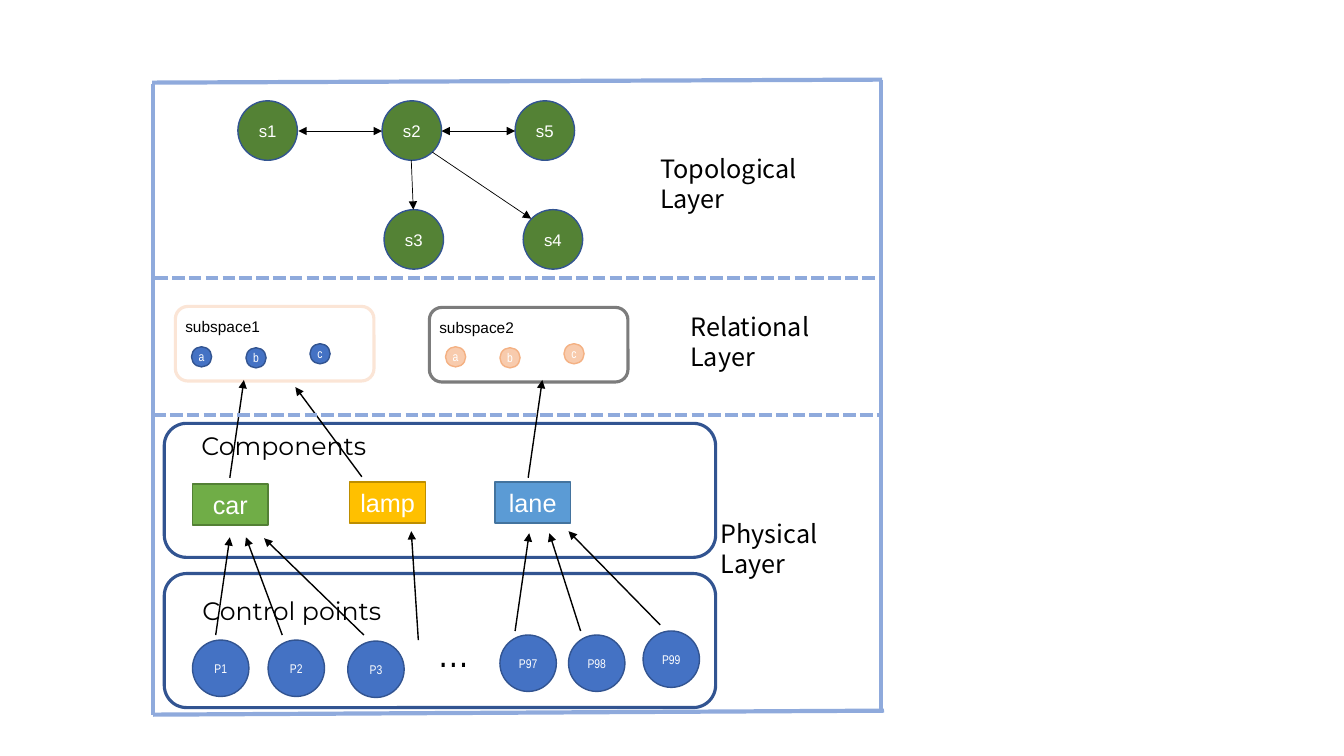
import pptx
import pptx.util
import pptx.dml.color
import pptx.enum.dml
import pptx.enum.shapes
import pptx.enum.text
import pptx.oxml.ns
import lxml.etree

# The slide is a grid of square cells, 75 rows high and 133.33 columns wide.
CELL = pptx.util.Inches(0.1)
SHAPES = pptx.enum.shapes.MSO_SHAPE
CIRCLE, ROUNDED, BOX = SHAPES.FLOWCHART_CONNECTOR, SHAPES.ROUNDED_RECTANGLE, SHAPES.RECTANGLE
colour = pptx.dml.color.RGBColor.from_string

NAVY, BLUE, GREEN, PALE_BLUE = "325491", "4472C4", "548235", "8FAADC"
BLACK, WHITE = "000000", "FFFFFF"
NARROW, SANS = "Arial Narrow", "Noto Sans CJK SC"

presentation = pptx.Presentation()
presentation.slide_width = round(133.33 * CELL)
presentation.slide_height = 75 * CELL
slide = presentation.slides.add_slide(presentation.slide_layouts[6])


def place(kind, box, text="", size=18, font="Arial", fill=None, line=NAVY, weight=1):
    """Add a preset shape, or a plain label when kind is None; box is in cells."""
    box = [round(length * CELL) for length in box]
    if kind is None:
        part = slide.shapes.add_textbox(*box)
        part.text_frame.auto_size = pptx.enum.text.MSO_AUTO_SIZE.SHAPE_TO_FIT_TEXT
    else:
        part = slide.shapes.add_shape(kind, *box)
        part.shadow.inherit = False
        part.line.color.rgb = colour(line)
        part.line.width = pptx.util.Pt(weight)
        if fill:
            part.fill.solid()
            part.fill.fore_color.rgb = colour(fill)
        else:
            part.fill.background()
    if not text:
        return
    frame = part.text_frame
    frame.word_wrap = kind != CIRCLE
    if kind == CIRCLE:
        frame.margin_left = frame.margin_right = frame.margin_top = frame.margin_bottom = 0
    paragraph = frame.paragraphs[0]
    paragraph.text = text
    paragraph.font.size = pptx.util.Pt(size)
    paragraph.font.name = font
    paragraph.font.color.rgb = colour(BLACK if kind is None else WHITE)
    if kind is not None:
        frame.vertical_anchor = pptx.enum.text.MSO_ANCHOR.MIDDLE
        paragraph.alignment = pptx.enum.text.PP_ALIGN.CENTER


def draw_line(ends, line=BLACK, weight=1, heads=(), dashed=False):
    """Add a straight line; ends are x1, y1, x2, y2 in cells, heads are XML end names."""
    ends = [round(length * CELL) for length in ends]
    connector = slide.shapes.add_connector(pptx.enum.shapes.MSO_CONNECTOR.STRAIGHT, *ends)
    connector.line.color.rgb = colour(line)
    connector.line.width = pptx.util.Pt(weight)
    if dashed:
        connector.line.dash_style = pptx.enum.dml.MSO_LINE.SQUARE_DOT
    outline = connector.line._get_or_add_ln()
    for head in heads:
        lxml.etree.SubElement(outline, pptx.oxml.ns.qn(head), type="triangle")
    lxml.etree.SubElement(connector._element.spPr, pptx.oxml.ns.qn("a:effectLst"))


# Physical layer: control points and components
for panel_top, title, title_left, title_top in [
    (56.9, "Control points", 19.1, 58.6),
    (42, "Components", 19, 42.2),
]:
    place(ROUNDED, (16.3, panel_top, 54.7, 13.3), weight=2.25)
    place(None, (title_left, title_top, 23.3, 4), title, font="Montserrat")

for point, left, top in [
    ("P1", 19.1, 63.5), ("P2", 26.6, 63.5), ("P3", 34.5, 63.6),
    ("P97", 49.6, 63), ("P98", 56.4, 63), ("P99", 63.8, 62.6),
]:
    place(CIRCLE, (left, top, 5.6, 5.6), point, 9, NARROW, BLUE)
place(None, (42.4, 61.8, 14.4, 5.7), "…", 28, NARROW)

for component, left, top, fill, line in [
    ("car", 19.1, 48, "70AD47", "538035"),
    ("lamp", 34.7, 47.8, "FFC000", "BD8E00"),
    ("lane", 49.1, 47.8, "5B9BD5", "43739E"),
]:
    place(BOX, (left, top, 7.5, 4.1), component, fill=fill, line=line)

# Relational layer: subspaces with their members
for subspace, left, top, frame_line, fill, line in [
    ("subspace1", 17.4, 30.4, "FBE5D6", BLUE, NAVY),
    ("subspace2", 42.6, 30.5, "7C7C7C", "F8CBAD", "F4B183"),
]:
    place(ROUNDED, (left, top, 19.7, 7.4), line=frame_line, weight=2.25)
    place(None, (left, top + 0.6, 15, 2.9), subspace, 11)
    for member, offset, member_top in [("a", 1.6, 34.4), ("b", 7, 34.5), ("c", 13.35, 34.1)]:
        place(CIRCLE, (left + offset, member_top, 2, 2), member, 9, NARROW, fill, line)

# Topological layer: nodes
for node, left, top in [
    ("s1", 23.6, 10), ("s2", 37.9, 10), ("s5", 51.1, 10), ("s3", 38.1, 20.8), ("s4", 51.9, 20.8),
]:
    place(CIRCLE, (left, top, 5.9, 5.9), node, 12, fill=GREEN)

# Arrows from control points to components, and from components to subspaces
for arrow in [
    (21.4, 63, 22.8, 53.3), (28, 63, 24.4, 53.3), (36.1, 63, 26.2, 53.4),
    (41.5, 63.5, 40.8, 52.7),
    (51.1, 62.6, 52.5, 52.9), (57.6, 62.6, 54.5, 52.9), (65.5, 62, 56.4, 52.7),
    (22.8, 47.4, 24.2, 37.7), (35.9, 47.3, 29.3, 38.4), (52.4, 47.4, 53.8, 37.7),
]:
    draw_line(arrow, heads=["a:tailEnd"])

# Links between nodes
for two_way_link in [(29.6, 13, 37.9, 13), (43.8, 13, 51.1, 13)]:
    draw_line(two_way_link, weight=0.5, heads=["a:headEnd", "a:tailEnd"])
for one_way_link in [(40.8, 15.9, 41, 20.8), (42.9, 15.1, 52.7, 21.7)]:
    draw_line(one_way_link, weight=0.5, heads=["a:tailEnd"])

# Outer border, layer dividers and layer names
for border in [
    (15.2, 70.9, 15.2, 8.3), (15.2, 70.9, 87.7, 70.5),
    (87.4, 70.5, 87.4, 7.9), (15.1, 8.2, 87.5, 7.9),
]:
    draw_line(border, PALE_BLUE, 3)
for divider in [(15.4, 27.6, 87.5, 27.6), (15.2, 41.2, 87.4, 41.2)]:
    draw_line(divider, PALE_BLUE, 3, dashed=True)
for layer, left, top, width in [
    ("Topological Layer", 64.5, 14.7, 22),
    ("Relational Layer", 67.5, 30.4, 19.1),
    ("Physical Layer", 70.5, 50.9, 17.2),
]:
    place(None, (left, top, width, 4), layer, font=SANS)

presentation.save("out.pptx")
